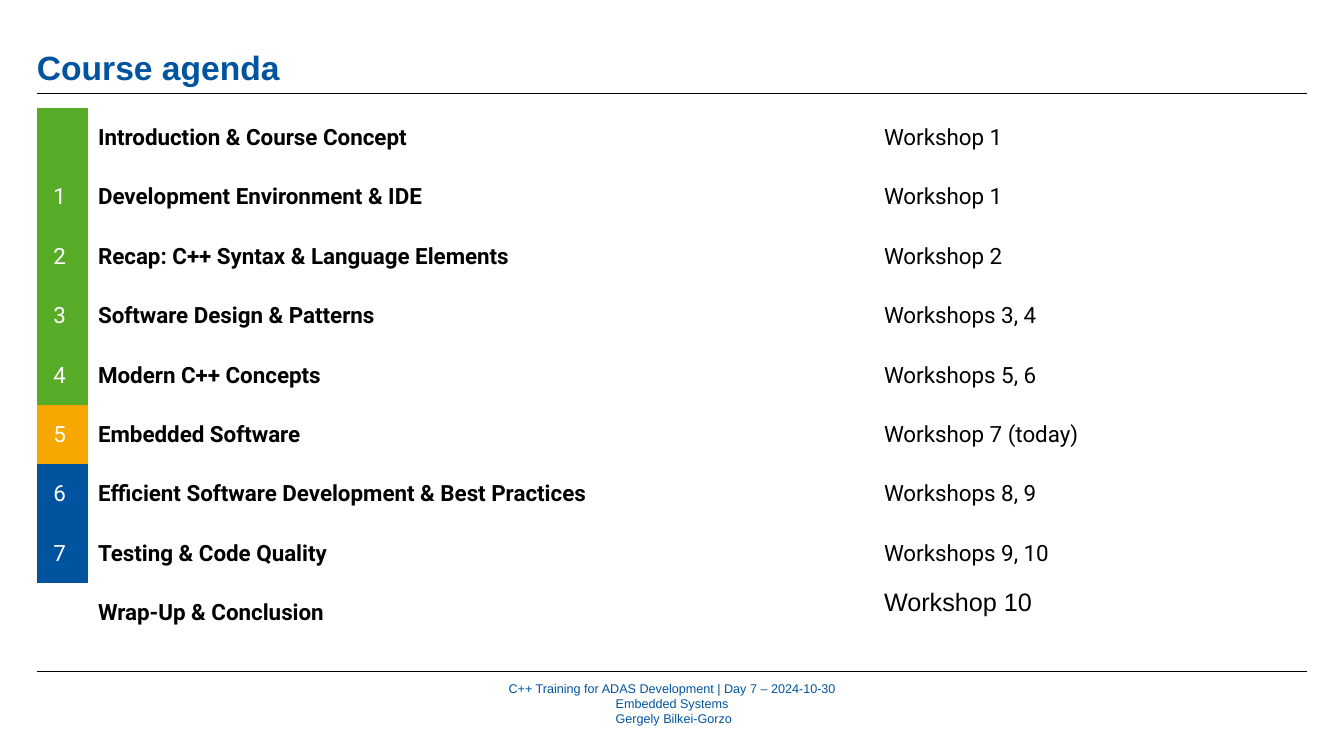
from lxml import etree
from pptx import Presentation
from pptx import util as u
from pptx.dml.color import RGBColor
from pptx.enum import shapes, text
from pptx.oxml import ns

BLUE = RGBColor(0x00, 0x54, 0x9F)
GREEN = RGBColor(0x57, 0xAB, 0x27)
ORANGE = RGBColor(0xF6, 0xA8, 0x00)
BLACK = RGBColor(0, 0, 0)
WHITE = RGBColor(255, 255, 255)

TITLE = "Course agenda"
FOOTER = [
    "C++ Training for ADAS Development | Day 7 – 2024-10-30",
    "Embedded Systems",
    " Gergely Bilkei-Gorzo",
]
# number, status colour, topic, workshops
AGENDA = [
    ("", GREEN, "Introduction & Course Concept", "Workshop 1"),
    ("1 ", GREEN, "Development Environment & IDE", "Workshop 1"),
    ("2 ", GREEN, "Recap: C++ Syntax & Language Elements", "Workshop 2"),
    ("3 ", GREEN, "Software Design & Patterns", "Workshops 3, 4"),
    ("4 ", GREEN, "Modern C++ Concepts", "Workshops 5, 6"),
    ("5 ", ORANGE, "Embedded Software", "Workshop 7 (today)"),
    ("6 ", BLUE, "Efficient Software Development & Best Practices", "Workshops 8, 9"),
    ("7 ", BLUE, "Testing & Code Quality", "Workshops 9, 10"),
    ("", None, "Wrap-Up & Conclusion", "Workshop 10"),
]

SLIDE_SIZE = (1344, 756)
LEFT, RIGHT = 37, 1307
RULES_Y = (93, 671)
TITLE_BOX = (LEFT, 5, RIGHT - LEFT, 82)
FOOTER_BOX = (346, 680, 652, 47)
TABLE_BOX = (LEFT, 108, RIGHT - LEFT, 535)
COLUMN_WIDTHS = (51, 786, 433)
NO_STYLE_NO_GRID = "{2D5ABB26-0587-4C30-8999-92F81FD0307C}"


def px(length):
    return u.Emu(round(length * 914400 / 100.8))


def write(frame, lines, font="Roboto", size=16, color=BLACK, bold=False,
          align=text.PP_ALIGN.LEFT, spacing=0):
    for index, line in enumerate(lines):
        paragraph = frame.add_paragraph() if index else frame.paragraphs[0]
        paragraph.alignment = align
        paragraph.space_before = paragraph.space_after = u.Pt(spacing)
        run = paragraph.add_run()
        run.text = line
        run.font.name = font
        run.font.size = u.Pt(size)
        run.font.bold = bold
        run.font.color.rgb = color


def add_text(slide, box, lines, anchor, **style):
    frame = slide.shapes.add_textbox(*map(px, box)).text_frame
    frame.word_wrap = True
    frame.margin_left = frame.margin_right = 0
    frame.margin_top = frame.margin_bottom = 0
    frame.vertical_anchor = anchor
    write(frame, lines, font="Arial", color=BLUE, **style)


def add_rule(slide, y):
    rule = slide.shapes.add_connector(
        shapes.MSO_CONNECTOR.STRAIGHT, px(LEFT), px(y), px(RIGHT), px(y))
    rule.line.color.rgb = BLACK
    rule.line.width = u.Pt(0.5)
    etree.SubElement(rule._element.spPr, ns.qn("a:effectLst"))


def add_agenda(slide):
    table = slide.shapes.add_table(
        len(AGENDA), len(COLUMN_WIDTHS), *map(px, TABLE_BOX)).table
    table.first_row = table.horz_banding = False
    table._tbl.tblPr.find(ns.qn("a:tableStyleId")).text = NO_STYLE_NO_GRID
    for column, width in zip(table.columns, COLUMN_WIDTHS):
        column.width = px(width)

    for row, (number, status, topic, workshops) in zip(table.rows, AGENDA):
        for cell in row.cells:
            cell.vertical_anchor = text.MSO_ANCHOR.MIDDLE
            cell.fill.background()
        number_cell, topic_cell, workshop_cell = row.cells
        if status is not None:
            number_cell.fill.solid()
            number_cell.fill.fore_color.rgb = status
        if number:
            write(number_cell.text_frame, [number], color=WHITE,
                  align=text.PP_ALIGN.CENTER)
        write(topic_cell.text_frame, [topic], bold=True, spacing=6)
        if row is not None and workshops == AGENDA[-1][-1]:
            workshop_cell.vertical_anchor = text.MSO_ANCHOR.TOP
            write(workshop_cell.text_frame, [workshops], font="Arial", size=18, spacing=6)
        else:
            write(workshop_cell.text_frame, [workshops], spacing=6)


def main():
    presentation = Presentation()
    presentation.slide_width, presentation.slide_height = map(px, SLIDE_SIZE)
    slide = presentation.slides.add_slide(presentation.slide_layouts[6])
    add_text(slide, FOOTER_BOX, FOOTER, text.MSO_ANCHOR.MIDDLE, size=9,
             align=text.PP_ALIGN.CENTER)
    for y in RULES_Y:
        add_rule(slide, y)
    add_text(slide, TITLE_BOX, [TITLE], text.MSO_ANCHOR.BOTTOM, size=24, bold=True)
    add_agenda(slide)
    presentation.save("out.pptx")


if __name__ == "__main__":
    main()
